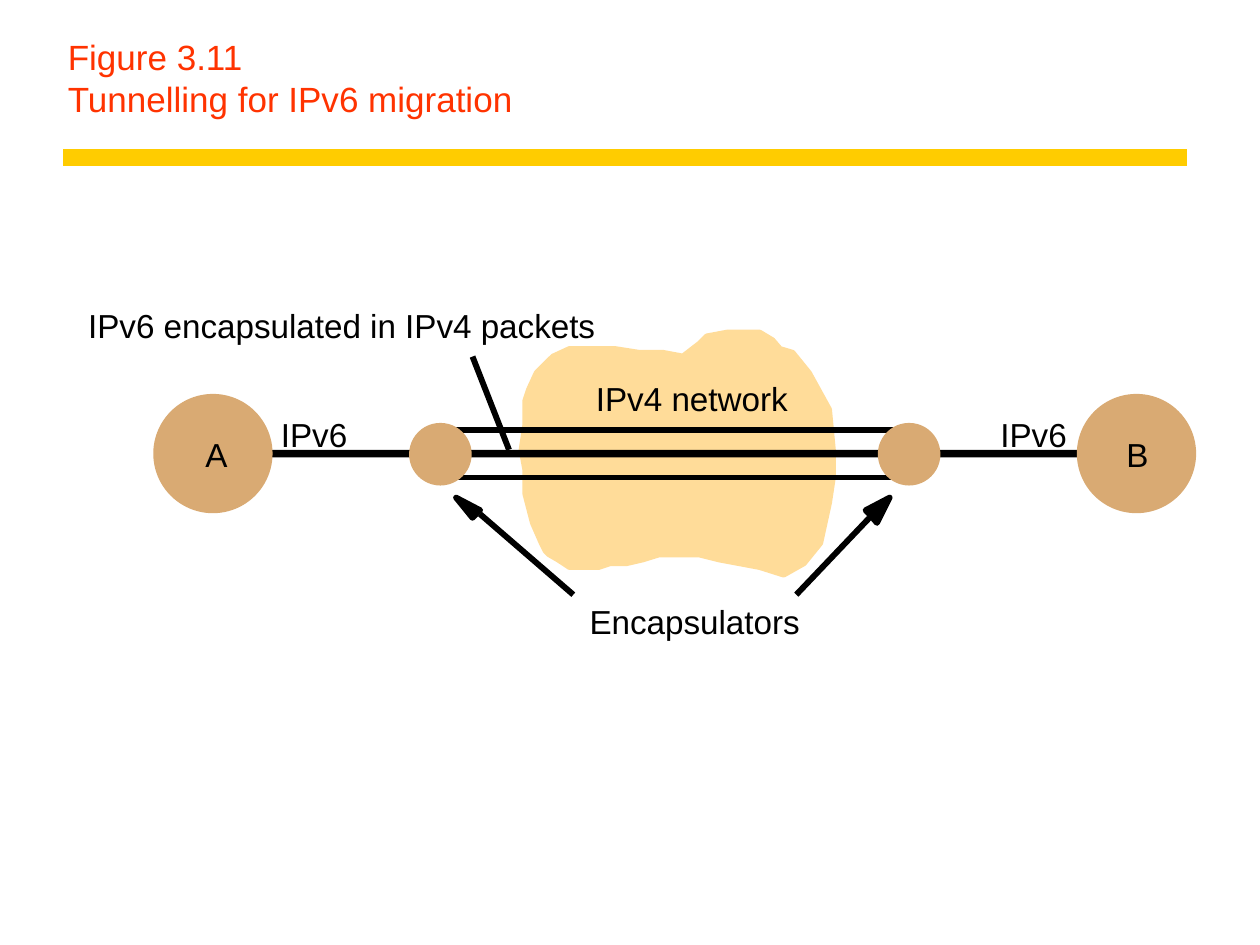
import dataclasses

import pptx
import pptx.dml.color
import pptx.enum.shapes
import pptx.enum.text
import pptx.oxml.ns
import pptx.util
from lxml import etree

Inches = pptx.util.Inches
SHAPES = pptx.enum.shapes.MSO_SHAPE


@dataclasses.dataclass(frozen=True)
class Theme:
    """Colours, font and sizes in points."""
    font: str = "Arial"
    title: str = "FF3300"
    rule: str = "FFCC00"
    cloud: str = "FFDC99"
    node: str = "D9AA73"
    ink: str = "000000"
    title_size: int = 20
    label_size: int = 19
    rule_width: float = 10
    line_width: float = 3.37


class Diagram:
    """Draws styled elements on the current slide."""

    def __init__(self, slide, theme):
        """Keep the slide and its style."""
        self.slide = slide
        self.theme = theme

    def paint(self, sp, color, outlined=True):
        """Fill a shape and outline it in the same colour."""
        rgb = pptx.dml.color.RGBColor.from_string(color)
        sp.shadow.inherit = False
        sp.fill.solid()
        sp.fill.fore_color.rgb = rgb
        if outlined:
            sp.line.color.rgb = rgb
            sp.line.width = pptx.util.Pt(self.theme.line_width)
        else:
            sp.line.fill.background()

    def shape(self, kind, left, top, width, height, color, outlined=True):
        """Add a preset shape."""
        sp = self.slide.shapes.add_shape(
            kind, Inches(left), Inches(top), Inches(width), Inches(height))
        self.paint(sp, color, outlined)

    def circle(self, left, top, size):
        """Add a network node."""
        self.shape(SHAPES.OVAL, left, top, size, size, self.theme.node)

    def outline(self, points, color):
        """Add a closed polygon."""
        corners = [(Inches(x), Inches(y)) for x, y in points]
        builder = self.slide.shapes.build_freeform(*corners[0])
        builder.add_line_segments(corners[1:], close=True)
        self.paint(builder.convert_to_shape(), color)

    def line(self, start, end, color=None, width=None):
        """Add a straight line."""
        sp = self.slide.shapes.add_connector(
            pptx.enum.shapes.MSO_CONNECTOR.STRAIGHT,
            *[Inches(v) for v in (*start, *end)])
        sp.line.color.rgb = pptx.dml.color.RGBColor.from_string(color or self.theme.ink)
        sp.line.width = pptx.util.Pt(width or self.theme.line_width)
        etree.SubElement(sp._element.spPr, pptx.oxml.ns.qn("a:effectLst"))

    def text(self, lines, left, top, width, height, size, color):
        """Add a text box without margins and return its frame."""
        sp = self.slide.shapes.add_textbox(
            Inches(left), Inches(top), Inches(width), Inches(height))
        tf = sp.text_frame
        tf.margin_left = tf.margin_right = tf.margin_top = tf.margin_bottom = 0
        p = tf.paragraphs[0]
        for i, line in enumerate(lines):
            if i:
                p.add_line_break()
            r = p.add_run()
            r.text = line
            r.font.name = self.theme.font
            r.font.size = pptx.util.Pt(size)
            r.font.color.rgb = pptx.dml.color.RGBColor.from_string(color)
        return tf

    def title(self, *lines):
        """Add the slide title with the rule below it."""
        theme = self.theme
        self.line((0.5, 1.25), (9.42, 1.25), theme.rule, theme.rule_width)
        tf = self.text(lines, 0.44, 0.25, 8.97, 0.75, theme.title_size, theme.title)
        tf.word_wrap = True
        tf.vertical_anchor = pptx.enum.text.MSO_ANCHOR.BOTTOM
        tf.margin_left = tf.margin_right = Inches(0.1)
        tf.margin_top = tf.margin_bottom = Inches(0.05)

    def label(self, text, left, top, width):
        """Add a one-line label."""
        theme = self.theme
        tf = self.text([text], left, top, width, 0.32, theme.label_size, theme.ink)
        tf.word_wrap = False
        tf.auto_size = pptx.enum.text.MSO_AUTO_SIZE.SHAPE_TO_FIT_TEXT

    def arrow(self, start, end, head):
        """Add a line with a drawn arrowhead."""
        self.outline(head, self.theme.ink)
        self.line(start, end)


CLOUD = [
    (4.2, 3.09), (4.26, 2.96), (4.39, 2.83), (4.52, 2.77), (4.88, 2.77),
    (5.07, 2.8), (5.26, 2.8), (5.42, 2.83), (5.55, 2.73), (5.61, 2.67),
    (5.77, 2.64), (6.03, 2.64), (6.13, 2.7), (6.19, 2.77), (6.29, 2.8),
    (6.42, 2.96), (6.58, 3.25), (6.61, 3.57), (6.61, 3.79), (6.58, 3.99),
    (6.51, 4.31), (6.38, 4.47), (6.22, 4.56), (6.03, 4.5), (5.87, 4.47),
    (5.71, 4.44), (5.55, 4.4), (5.23, 4.4), (5.1, 4.44), (4.97, 4.47),
    (4.84, 4.47), (4.75, 4.5), (4.52, 4.5), (4.43, 4.44), (4.36, 4.4),
    (4.33, 4.37), (4.3, 4.31), (4.23, 4.15), (4.17, 3.92), (4.17, 3.73),
    (4.14, 3.57), (4.17, 3.37), (4.17, 3.18),
]
LEFT_HEAD = [(3.78, 4.08), (3.75, 4.11), (3.62, 3.95), (3.81, 4.05)]
RIGHT_HEAD = [(6.9, 4.08), (6.87, 4.05), (7.06, 3.95), (6.96, 4.15)]


def main():
    """Build the tunnelling slide."""
    prs = pptx.Presentation()
    prs.slide_width, prs.slide_height = Inches(10), Inches(7.5)
    theme = Theme()
    d = Diagram(prs.slides.add_slide(prs.slide_layouts[6]), theme)

    d.title("Figure 3.11", "Tunnelling for IPv6 migration")
    d.outline(CLOUD, theme.cloud)
    for y in (3.41, 3.79):
        d.line((3.53, y), (7.25, y))
    d.shape(SHAPES.RECTANGLE, 1.92, 3.57, 6.97, 0.06, theme.ink, outlined=False)

    for name, left, label_left in (("A", 1.24, 1.63), ("B", 8.57, 8.94)):
        d.circle(left, 3.15, 0.9)
        d.label(name, label_left, 3.45, 0.18)
    for left in (3.27, 6.99):
        d.circle(left, 3.38, 0.45)
    for left in (2.23, 7.94):
        d.label("IPv6", left, 3.29, 0.53)

    d.label("IPv6 encapsulated in IPv4 packets", 0.7, 2.42, 4.05)
    d.line((3.75, 2.83), (4.04, 3.57))
    d.label("Encapsulators", 4.68, 4.77, 1.67)
    d.arrow((3.81, 4.08), (4.55, 4.72), LEFT_HEAD)
    d.arrow((6.9, 4.11), (6.32, 4.72), RIGHT_HEAD)
    d.label("IPv4 network", 4.73, 3, 1.55)
    prs.save("out.pptx")


if __name__ == "__main__":
    main()
